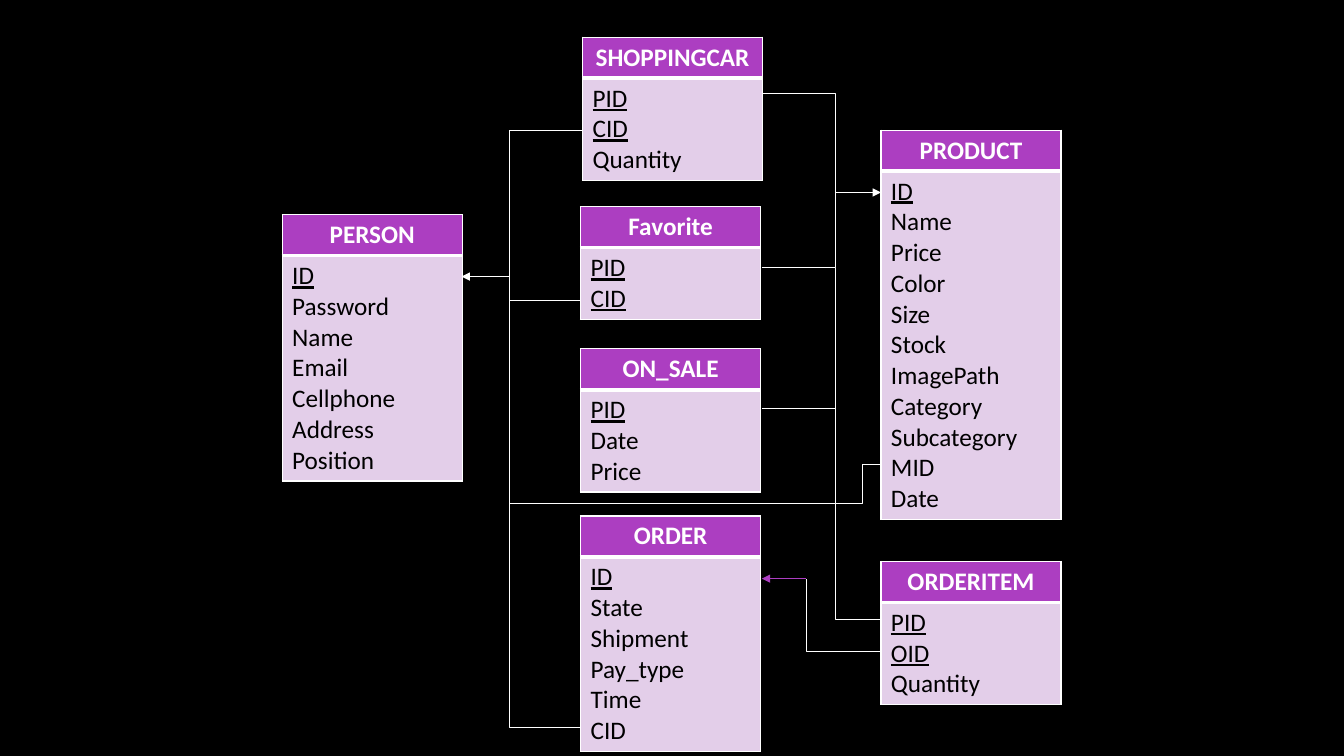
"""Draw the relational schema of a web shop with its foreign-key links."""
from dataclasses import dataclass

import lxml.etree
import pptx
import pptx.dml.color
import pptx.enum.shapes
import pptx.enum.text
import pptx.oxml.ns
import pptx.presentation
import pptx.shapes.connector
import pptx.slide
import pptx.table
import pptx.util
from pptx.util import Cm


@dataclass(frozen=True)
class Theme:
    background: str = "000000"
    accent: str = "AC3EC1"
    body: str = "E3CEE9"
    light: str = "FFFFFF"
    dark: str = "000000"
    font: str = "Calibri"
    size: float = 18
    line: float = 0.75
    border: float = 1
    divider: float = 3


@dataclass(frozen=True)
class Entity:
    name: str
    left: float
    top: float
    keys: tuple[str, ...]
    fields: tuple[str, ...] = ()


@dataclass(frozen=True)
class Link:
    start: tuple[float, float]
    end: tuple[float, float]
    bend: float = 1


@dataclass(frozen=True)
class Arrow:
    start: tuple[float, float]
    end: tuple[float, float]
    color: str


THEME = Theme()
ENTITY_WIDTH = 4.54
HEADER_HEIGHT = 1.02
FIELD_HEIGHT = 0.77
CELL_PADDING = 0.25
MIDDLE_LEFT, MIDDLE_RIGHT, PRODUCT_LEFT = 14.63, 19.2, 22.2
PERSON_BUS, ORDER_BUS, PRODUCT_BUS = 12.85, 20.32, 21.06
PERSON_ID, PRODUCT_ID, ORDER_ID = 6.97, 4.85, 14.58

ENTITIES = (
    Entity("PERSON", 7.11, 5.41, ("ID",),
           ("Password", "Name", "Email", "Cellphone", "Address", "Position")),
    Entity("PRODUCT", PRODUCT_LEFT, 3.28, ("ID",),
           ("Name", "Price", "Color", "Size", "Stock", "ImagePath",
            "Category", "Subcategory", "MID", "Date")),
    Entity("ON_SALE", MIDDLE_LEFT, 8.79, ("PID",), ("Date", "Price")),
    Entity("ORDER", MIDDLE_LEFT, 13, ("ID",),
           ("State", "Shipment", "Pay_type", "Time", "CID")),
    Entity("Favorite", MIDDLE_LEFT, 5.21, ("PID", "CID")),
    Entity("SHOPPINGCAR", 14.68, 0.94, ("PID", "CID"), ("Quantity",)),
    Entity("ORDERITEM", PRODUCT_LEFT, 14.15, ("PID", "OID"), ("Quantity",)),
)

LINKS = (
    Link((14.68, 3.28), (PERSON_BUS, PERSON_ID)),
    Link((MIDDLE_LEFT, 7.57), (PERSON_BUS, PERSON_ID)),
    Link((MIDDLE_LEFT, 18.34), (PERSON_BUS, 7.57)),
    Link((MIDDLE_RIGHT, 10.29), (PRODUCT_BUS, 8.15)),
    Link((MIDDLE_RIGHT, 6.73), (PRODUCT_BUS, 8.15)),
    Link((MIDDLE_RIGHT, 2.36), (PRODUCT_BUS, 6.73)),
    Link((PRODUCT_LEFT, 11.71), (PERSON_BUS, 12.7), bend=0.05),
    Link((PRODUCT_LEFT, 15.62), (PRODUCT_BUS, 10.29)),
    Link((PRODUCT_LEFT, 16.41), (ORDER_BUS, ORDER_ID)),
)

ARROWS = (
    Arrow((PERSON_BUS, PERSON_ID), (11.63, PERSON_ID), THEME.light),
    Arrow((PRODUCT_BUS, PRODUCT_ID), (PRODUCT_LEFT, PRODUCT_ID), THEME.light),
    Arrow((ORDER_BUS, ORDER_ID), (MIDDLE_RIGHT, ORDER_ID), THEME.accent),
)


def rgb(color: str) -> pptx.dml.color.RGBColor:
    """Turn a hex string into a colour."""
    return pptx.dml.color.RGBColor.from_string(color)


def add_child(parent: lxml.etree._Element, tag: str, **attributes: str) -> lxml.etree._Element:
    """Append a DrawingML element to its parent."""
    child = lxml.etree.SubElement(parent, pptx.oxml.ns.qn(tag))
    for name, value in attributes.items():
        child.set(name, value)
    return child


def style_cell(cell: pptx.table._Cell, fill: str, top: float, bottom: float) -> None:
    """Give a cell its four borders and its fill."""
    widths = {"L": THEME.border, "R": THEME.border, "T": top, "B": bottom}
    properties = cell._tc.get_or_add_tcPr()
    for side, width in widths.items():
        border = add_child(properties, f"a:ln{side}", w=str(pptx.util.Pt(width)))
        add_child(add_child(border, "a:solidFill"), "a:srgbClr", val=THEME.light)
    cell.fill.solid()
    cell.fill.fore_color.rgb = rgb(fill)


def add_text(paragraph, text: str, color: str, bold: bool = False,
             underline: bool = False) -> None:
    """Add one formatted run to a paragraph."""
    run = paragraph.add_run()
    run.text = text
    run.font.name = THEME.font
    run.font.size = pptx.util.Pt(THEME.size)
    run.font.color.rgb = rgb(color)
    run.font.bold = bold
    run.font.underline = underline


def draw_entity(slide: pptx.slide.Slide, entity: Entity) -> None:
    """Draw an entity as a table with a header and a list of fields."""
    names = entity.keys + entity.fields
    body_height = CELL_PADDING + FIELD_HEIGHT * len(names)
    table = slide.shapes.add_table(
        2, 1, Cm(entity.left), Cm(entity.top),
        Cm(ENTITY_WIDTH), Cm(HEADER_HEIGHT + body_height)).table
    table.first_row = table.horz_banding = False
    table.rows[0].height = Cm(HEADER_HEIGHT)
    table.rows[1].height = Cm(body_height)

    header, body = table.cell(0, 0), table.cell(1, 0)
    style_cell(header, THEME.accent, THEME.border, THEME.divider)
    style_cell(body, THEME.body, THEME.divider, THEME.border)

    title = header.text_frame.paragraphs[0]
    title.alignment = pptx.enum.text.PP_ALIGN.CENTER
    add_text(title, entity.name, THEME.light, bold=True)
    for index, name in enumerate(names):
        frame = body.text_frame
        paragraph = frame.add_paragraph() if index else frame.paragraphs[0]
        add_text(paragraph, name, THEME.dark, underline=index < len(entity.keys))


def draw_connector(slide: pptx.slide.Slide, kind: pptx.enum.shapes.MSO_CONNECTOR,
                   route: Link | Arrow, color: str) -> pptx.shapes.connector.Connector:
    """Draw a thin connector without a shadow."""
    connector = slide.shapes.add_connector(kind, *map(Cm, route.start + route.end))
    connector.line.color.rgb = rgb(color)
    connector.line.width = pptx.util.Pt(THEME.line)
    add_child(connector._element.spPr, "a:effectLst")
    return connector


def draw_link(slide: pptx.slide.Slide, link: Link) -> None:
    """Draw an elbow that turns at the given share of its width."""
    elbow = draw_connector(slide, pptx.enum.shapes.MSO_CONNECTOR.ELBOW, link, THEME.light)
    guides = elbow._element.spPr.find(".//" + pptx.oxml.ns.qn("a:avLst"))
    add_child(guides, "a:gd", name="adj1", fmla=f"val {round(link.bend * 100000)}")


def draw_arrow(slide: pptx.slide.Slide, arrow: Arrow) -> None:
    """Draw a straight line with a triangle at its end."""
    shaft = draw_connector(slide, pptx.enum.shapes.MSO_CONNECTOR.STRAIGHT, arrow, arrow.color)
    add_child(shaft.line._get_or_add_ln(), "a:tailEnd", type="triangle")


def main() -> None:
    """Build and save the schema slide."""
    presentation = pptx.Presentation()
    presentation.slide_width, presentation.slide_height = Cm(33.87), Cm(19.05)
    slide = presentation.slides.add_slide(presentation.slide_layouts[6])
    slide.background.fill.solid()
    slide.background.fill.fore_color.rgb = rgb(THEME.background)
    for entity in ENTITIES:
        draw_entity(slide, entity)
    for link in LINKS:
        draw_link(slide, link)
    for arrow in ARROWS:
        draw_arrow(slide, arrow)
    presentation.save("out.pptx")


if __name__ == "__main__":
    main()
